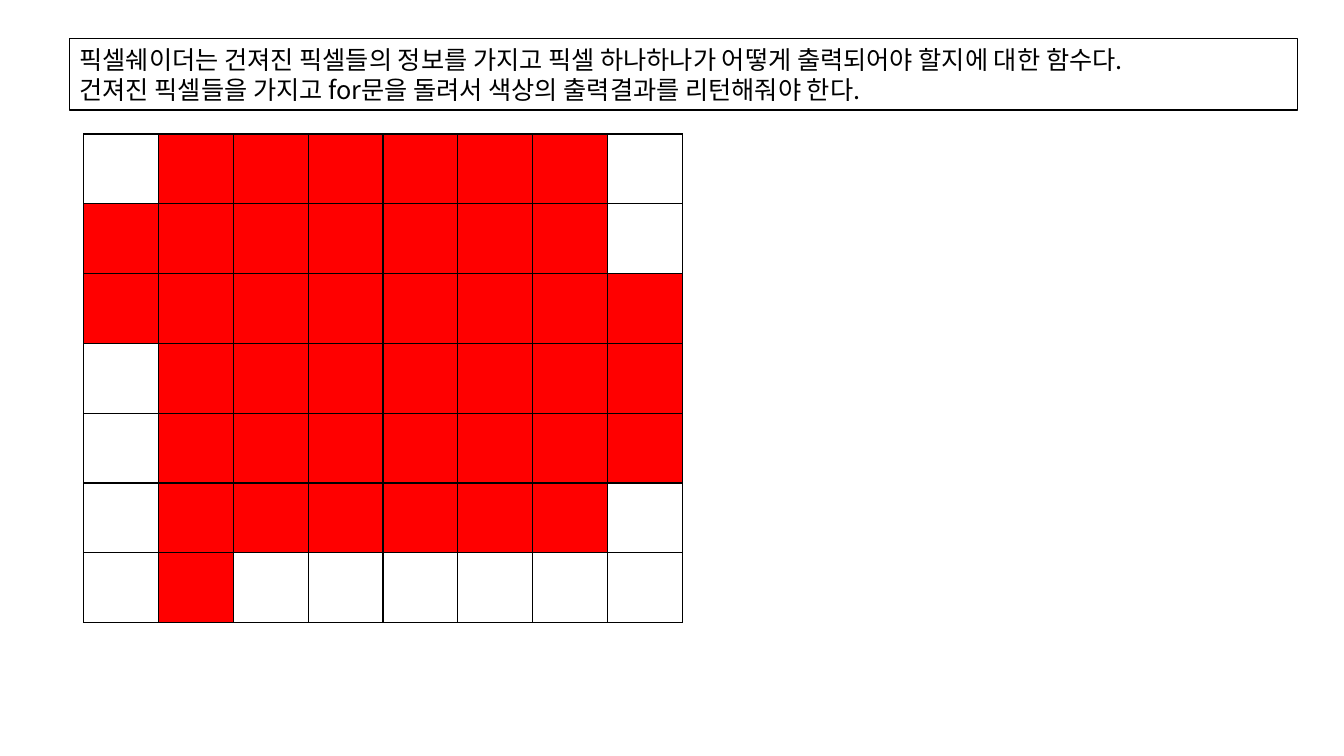
"""Build the pixel shader slide with its note and pixel grid."""
from dataclasses import dataclass

from lxml import etree
from pptx import Presentation
from pptx import util as u
from pptx.dml.color import RGBColor
from pptx.enum import shapes, text
from pptx.oxml import ns

FONT = "Noto Sans CJK KR"
BLACK, WHITE, RED = "000000", "FFFFFF", "FF0000"
LINES = (
    "픽셀쉐이더는 건져진 픽셀들의 정보를 가지고 픽셀 하나하나가 어떻게 출력되어야 할지에 대한 함수다.",
    "건져진 픽셀들을 가지고 for문을 돌려서 색상의 출력결과를 리턴해줘야 한다.",
)


@dataclass(frozen=True)
class Box:
    """Place and size in inches."""
    left: float
    top: float
    width: float
    height: float

    def emu(self) -> tuple:
        """Return the four lengths for a new shape."""
        return tuple(map(u.Inches, (self.left, self.top, self.width, self.height)))


@dataclass(frozen=True)
class Span:
    """Red pixels of one row, from first up to but not including end."""
    first: int
    end: int


SPANS = (Span(1, 7), Span(0, 7), Span(0, 8), Span(1, 8),
         Span(1, 8), Span(1, 7), Span(1, 2))
COLS = 8


def color(code: str) -> RGBColor:
    """Turn a hex string into a colour."""
    return RGBColor.from_string(code)


def add_note(slide, box: Box, lines: tuple) -> None:
    """Add the framed note with one paragraph per line."""
    note = slide.shapes.add_shape(shapes.MSO_SHAPE.RECTANGLE, *box.emu())
    note.shadow.inherit = False
    note.fill.solid()
    note.fill.fore_color.rgb = color(WHITE)
    note.line.color.rgb = color(BLACK)
    note.line.width = u.Pt(1)
    frame = note.text_frame
    frame.word_wrap = True
    frame.auto_size = text.MSO_AUTO_SIZE.SHAPE_TO_FIT_TEXT
    frame.vertical_anchor = text.MSO_ANCHOR.MIDDLE
    for i, line in enumerate(lines):
        para = frame.add_paragraph() if i else frame.paragraphs[0]
        para.alignment = text.PP_ALIGN.LEFT
        para.line_spacing = u.Pt(22)
        run = para.add_run()
        run.text = line
        run.font.size = u.Pt(18)
        run.font.color.rgb = color(BLACK)
        run.font.name = FONT
        props = run.font._element
        etree.SubElement(props, ns.qn("a:ea"), typeface=FONT)


def add_edges(cell) -> None:
    """Draw a thin black line on each side of a cell."""
    props = cell._tc.get_or_add_tcPr()
    for i, side in enumerate(("lnL", "lnR", "lnT", "lnB")):
        edge = etree.Element(ns.qn(f"a:{side}"), w=str(u.Pt(1)))
        fill = etree.SubElement(edge, ns.qn("a:solidFill"))
        etree.SubElement(fill, ns.qn("a:srgbClr"), val=BLACK)
        props.insert(i, edge)


def add_grid(slide, box: Box, spans: tuple) -> None:
    """Add the pixel table and paint the red span of each row."""
    table = slide.shapes.add_table(len(spans), COLS, *box.emu()).table
    table.first_row = table.horz_banding = False
    for r, span in enumerate(spans):
        for c in range(COLS):
            cell = table.cell(r, c)
            if span.first <= c < span.end:
                cell.fill.solid()
                cell.fill.fore_color.rgb = color(RED)
            else:
                cell.fill.background()
            add_edges(cell)


def main() -> None:
    """Build and save the slide."""
    deck = Presentation()
    deck.slide_width, deck.slide_height = u.Inches(13.33), u.Inches(7.5)
    slide = deck.slides.add_slide(deck.slide_layouts[6])
    add_grid(slide, Box(0.83, 1.33, 5.94, 4.85), SPANS)
    add_note(slide, Box(0.69, 0.38, 12.18, 0.71), LINES)
    deck.save("out.pptx")


if __name__ == "__main__":
    main()
